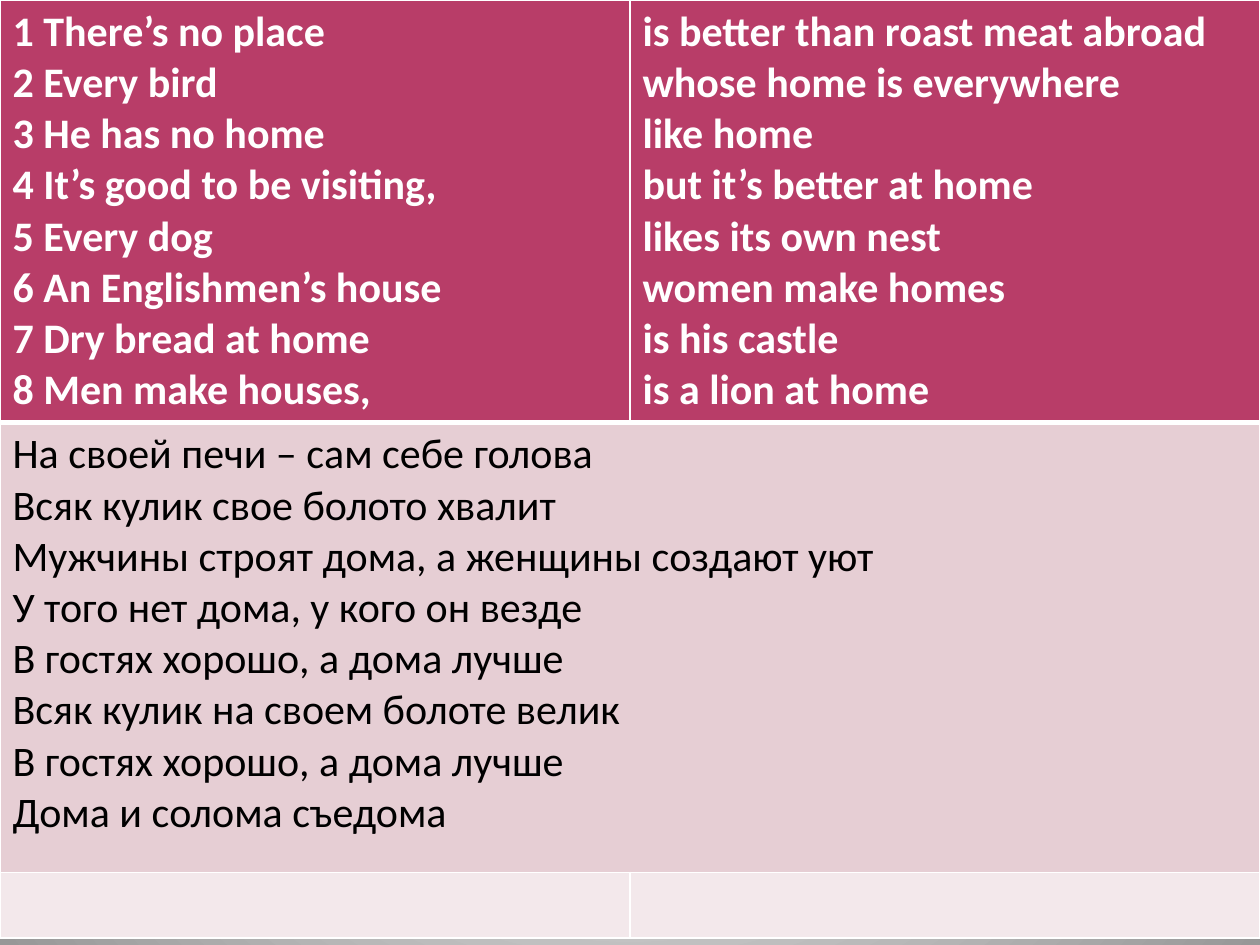
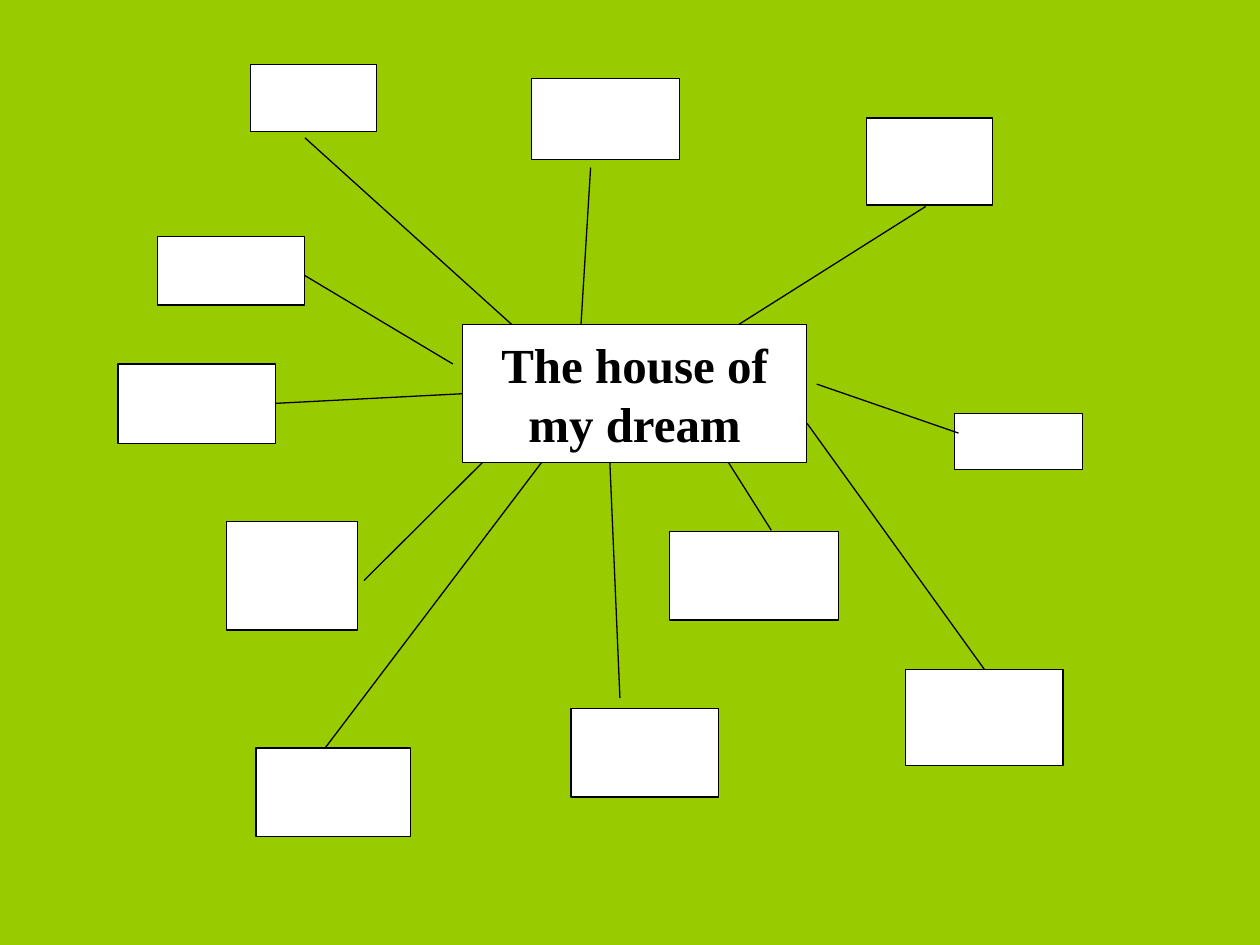
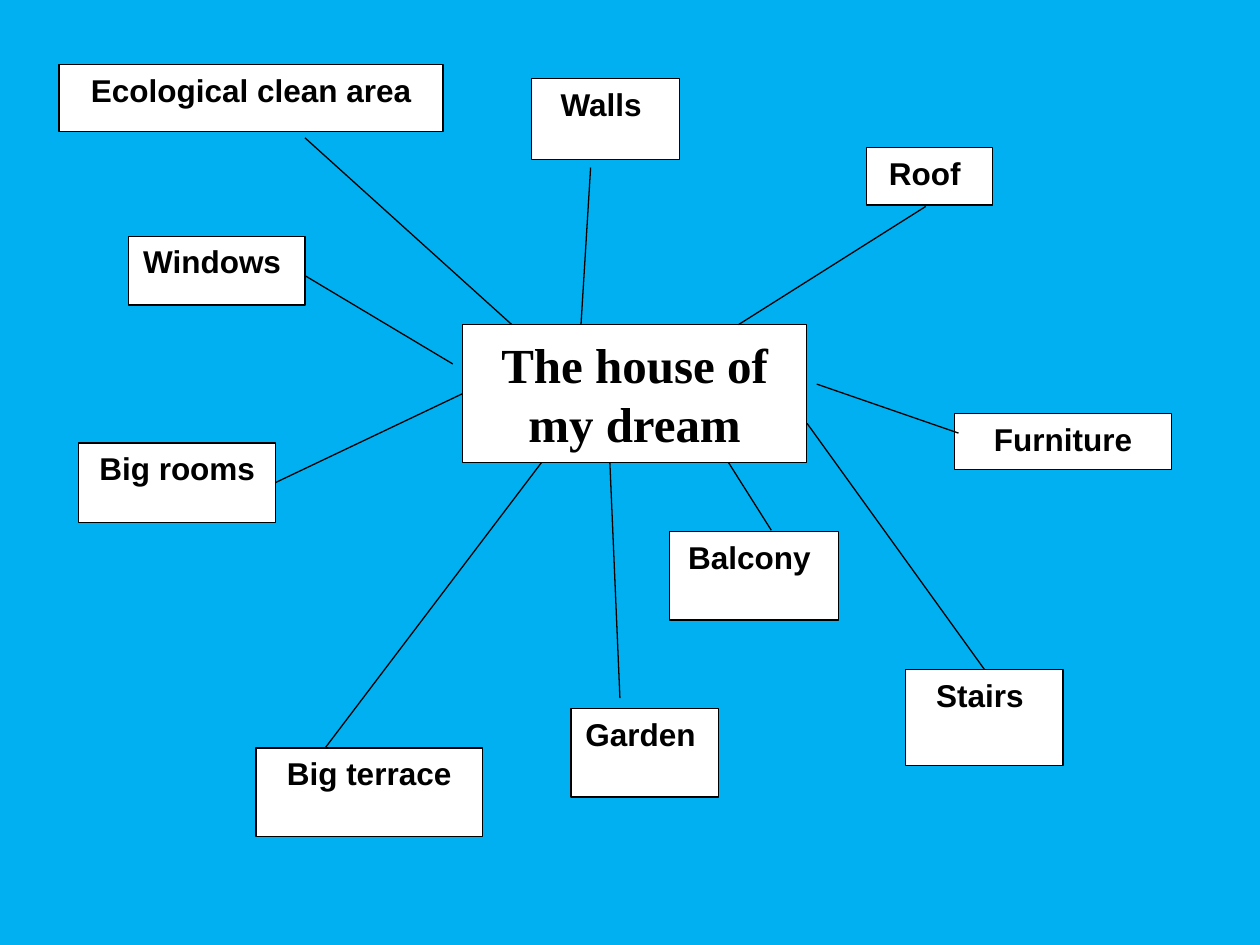
from dataclasses import dataclass
from typing import Any

from lxml import etree
from pptx import Presentation
from pptx import util as u
from pptx.dml import color
from pptx.enum import shapes, text
from pptx.oxml import ns

COLORS = {
    "white": "FFFFFF",
    "black": "000000",
    "grey": "979797",
    "berry": "B83D68",
    "rose": "E6CED4",
    "blush": "F3E8EB",
    "green": "99CC00",
    "blue": "00B0F0",
}

TITLE_FONT = {"name": "Times New Roman", "size": u.Pt(28), "bold": True}
LABEL_FONT = {"name": "Arial", "size": u.Pt(18), "bold": True}
HEADER_FONT = {"name": "Calibri", "size": u.Pt(24), "bold": True}
BODY_FONT = HEADER_FONT | {"bold": False}


@dataclass(frozen=True)
class Frame:
    left: float
    top: float
    width: float
    height: float

    def lengths(self) -> list[u.Length]:
        return [u.Pt(value) for value in (self.left, self.top, self.width, self.height)]


@dataclass(frozen=True)
class Line:
    start_x: float
    start_y: float
    end_x: float
    end_y: float

    def lengths(self) -> list[u.Length]:
        return [u.Pt(value) for value in (self.start_x, self.start_y, self.end_x, self.end_y)]


@dataclass(frozen=True)
class RowStyle:
    height: float
    fill: str
    font_color: str
    font: dict[str, Any]
    top_border: float
    bottom_border: float


@dataclass(frozen=True)
class MindMap:
    background: str
    frames: dict[str, Frame]
    lines: tuple[Line, ...]
    labelled: bool


ROWS = (
    RowStyle(229, "berry", "white", HEADER_FONT, 1, 3),
    RowStyle(257, "rose", "black", BODY_FONT, 3, 1),
    RowStyle(37.5, "blush", "black", BODY_FONT, 1, 1),
)

PROVERB_STARTS = (
    "1 There’s no place",
    "2 Every bird",
    "3 He has no home",
    "4 It’s good to be visiting,",
    "5 Every dog",
    "6 An Englishmen’s house",
    "7 Dry bread at home",
    "8 Men make houses,",
)
PROVERB_ENDS = (
    "is better than roast meat abroad",
    "whose home is everywhere",
    "like home",
    "but it’s better at home",
    "likes its own nest",
    "women make homes",
    "is his castle",
    "is a lion at home",
)
TRANSLATIONS = (
    (
        "На своей печи – сам себе голова",
        "Всяк кулик свое болото хвалит",
        "Мужчины строят дома, а женщины создают уют",
    ),
    (
        "У того нет дома, у кого он везде",
        "В гостях хорошо, а дома лучше",
        "Всяк кулик на своем болоте велик",
        "В гостях хорошо, а дома лучше",
        "Дома и солома съедома",
    ),
)
CELL_PARAGRAPHS = {
    (0, 0): (PROVERB_STARTS,),
    (0, 1): (PROVERB_ENDS,),
    (1, 0): TRANSLATIONS,
}

TOPIC = "The house of my dream"
TOPIC_FRAME = Frame(264.25, 185.5, 196.75, 78.75)

SHARED_FRAMES = {
    "Balcony ": Frame(382.5, 303.75, 96.5, 50.5),
    "Stairs ": Frame(517.5, 382.5, 90, 55),
    "Walls ": Frame(303.75, 45, 84.5, 46),
    "Garden ": Frame(326.25, 405, 84.5, 50.5),
}
BLANK_FRAMES = SHARED_FRAMES | {
    "Big terrace": Frame(146.25, 427.5, 88.5, 50.5),
    "Ecological clean area": Frame(143.25, 37, 72, 38),
    "Big rooms": Frame(67.5, 208, 90, 45.5),
    "Furniture": Frame(545.5, 236.25, 73.25, 32.25),
    "Roof ": Frame(495, 67.5, 72, 49.75),
    "Windows ": Frame(90, 135, 84.25, 39.25),
    "Spare": Frame(129.5, 298, 75, 62),
}
LABEL_FRAMES = SHARED_FRAMES | {
    "Big terrace": Frame(146.25, 427.5, 129.5, 50.5),
    "Ecological clean area": Frame(33.75, 37, 219.5, 38),
    "Big rooms": Frame(45, 253.25, 112.5, 45.25),
    "Furniture": Frame(545.5, 236.25, 124, 32.25),
    "Roof ": Frame(495, 84.25, 72, 33),
    "Windows ": Frame(73.25, 135, 101, 39.25),
}

SHARED_LINES = (
    Line(416.25, 264.25, 440.75, 303),
    Line(529, 118, 422, 185.5),
    Line(466.75, 219.5, 547.75, 247.5),
    Line(337.5, 95.75, 332, 185.5),
    Line(174.25, 78.75, 292.5, 185.5),
    Line(174.25, 157.5, 258.75, 208),
    Line(348.5, 264.25, 354.25, 399),
    Line(309.5, 264.25, 185.75, 427.5),
    Line(461.25, 242, 562.5, 382.5),
)
BLANK_LINES = SHARED_LINES + (
    Line(157.5, 230.5, 264.25, 225),
    Line(275.75, 264.25, 208, 331.75),
)
LABEL_LINES = SHARED_LINES + (Line(157.5, 275.75, 264.25, 225),)

MIND_MAPS = (
    MindMap("green", BLANK_FRAMES, BLANK_LINES, False),
    MindMap("blue", LABEL_FRAMES, LABEL_LINES, True),
)


def rgb(name: str) -> color.RGBColor:
    return color.RGBColor.from_string(COLORS[name])


def set_format(target: Any, formats: dict[str, Any]) -> None:
    for attribute, value in formats.items():
        setattr(target, attribute, value)


def set_solid(fill: Any, name: str) -> None:
    fill.solid()
    fill.fore_color.rgb = rgb(name)


def add_slide(presentation: Any) -> Any:
    return presentation.slides.add_slide(presentation.slide_layouts[6])


def add_radial_background(slide: Any) -> None:
    fill = slide.background.fill
    fill.gradient()
    for stop, name, position in zip(fill.gradient_stops, ("white", "grey"), (0, 1)):
        stop.color.rgb = rgb(name)
        stop.position = position
    gradient = slide.element.find(".//" + ns.qn("a:gradFill"))
    gradient.remove(gradient.find(ns.qn("a:lin")))
    circle = etree.SubElement(gradient, ns.qn("a:path"), path="circle")
    sides = {side: "50000" for side in "ltrb"}
    etree.SubElement(circle, ns.qn("a:fillToRect"), sides)


def add_borders(cell: Any, style: RowStyle) -> None:
    properties = cell._tc.get_or_add_tcPr()
    widths = {"L": 1, "R": 1, "T": style.top_border, "B": style.bottom_border}
    for side, width in widths.items():
        border = etree.SubElement(properties, ns.qn(f"a:ln{side}"), w=str(u.Pt(width)))
        solid = etree.SubElement(border, ns.qn("a:solidFill"))
        etree.SubElement(solid, ns.qn("a:srgbClr"), val=COLORS["white"])


def add_proverb_table(slide: Any) -> None:
    frame = Frame(0, 0, 720, sum(style.height for style in ROWS))
    table = slide.shapes.add_table(len(ROWS), 2, *frame.lengths()).table
    for row_index, style in enumerate(ROWS):
        table.rows[row_index].height = u.Pt(style.height)
        for column_index in range(2):
            cell = table.cell(row_index, column_index)
            add_borders(cell, style)
            set_solid(cell.fill, style.fill)
            groups = CELL_PARAGRAPHS.get((row_index, column_index), ())
            if groups:
                cell.text_frame.text = "\n".join("\v".join(lines) for lines in groups)
            for paragraph in cell.text_frame.paragraphs:
                for run in paragraph.runs:
                    set_format(run.font, style.font)
                    run.font.color.rgb = rgb(style.font_color)
    table.cell(1, 0).merge(table.cell(1, 1))


def add_box(slide: Any, frame: Frame, label: str, font: dict[str, Any], anchor: Any) -> None:
    shape = slide.shapes.add_shape(shapes.MSO_SHAPE.RECTANGLE, *frame.lengths())
    shape.shadow.inherit = False
    set_solid(shape.fill, "white")
    set_solid(shape.line.fill, "black")
    shape.line.width = u.Pt(0.75)
    set_format(shape.text_frame, {"word_wrap": True, "vertical_anchor": anchor})
    if label:
        paragraph = shape.text_frame.paragraphs[0]
        paragraph.alignment = text.PP_ALIGN.CENTER
        run = paragraph.add_run()
        run.text = label
        set_format(run.font, font)
        run.font.color.rgb = rgb("black")


def add_line(slide: Any, line: Line) -> None:
    connector = slide.shapes.add_connector(shapes.MSO_CONNECTOR.STRAIGHT, *line.lengths())
    set_solid(connector.line.fill, "black")
    connector.line.width = u.Pt(0.75)
    etree.SubElement(connector.element.spPr, ns.qn("a:effectLst"))


def add_mind_map(slide: Any, mind_map: MindMap) -> None:
    set_solid(slide.background.fill, mind_map.background)
    add_box(slide, TOPIC_FRAME, TOPIC, TITLE_FONT, text.MSO_ANCHOR.MIDDLE)
    for name, frame in mind_map.frames.items():
        label = name if mind_map.labelled else ""
        add_box(slide, frame, label, LABEL_FONT, text.MSO_ANCHOR.TOP)
    for line in mind_map.lines:
        add_line(slide, line)


def main() -> None:
    presentation = Presentation()
    set_format(presentation, {"slide_width": u.Pt(720), "slide_height": u.Pt(540)})
    proverb_slide = add_slide(presentation)
    add_radial_background(proverb_slide)
    add_proverb_table(proverb_slide)
    for mind_map in MIND_MAPS:
        add_mind_map(add_slide(presentation), mind_map)
    presentation.save("out.pptx")


if __name__ == "__main__":
    main()
